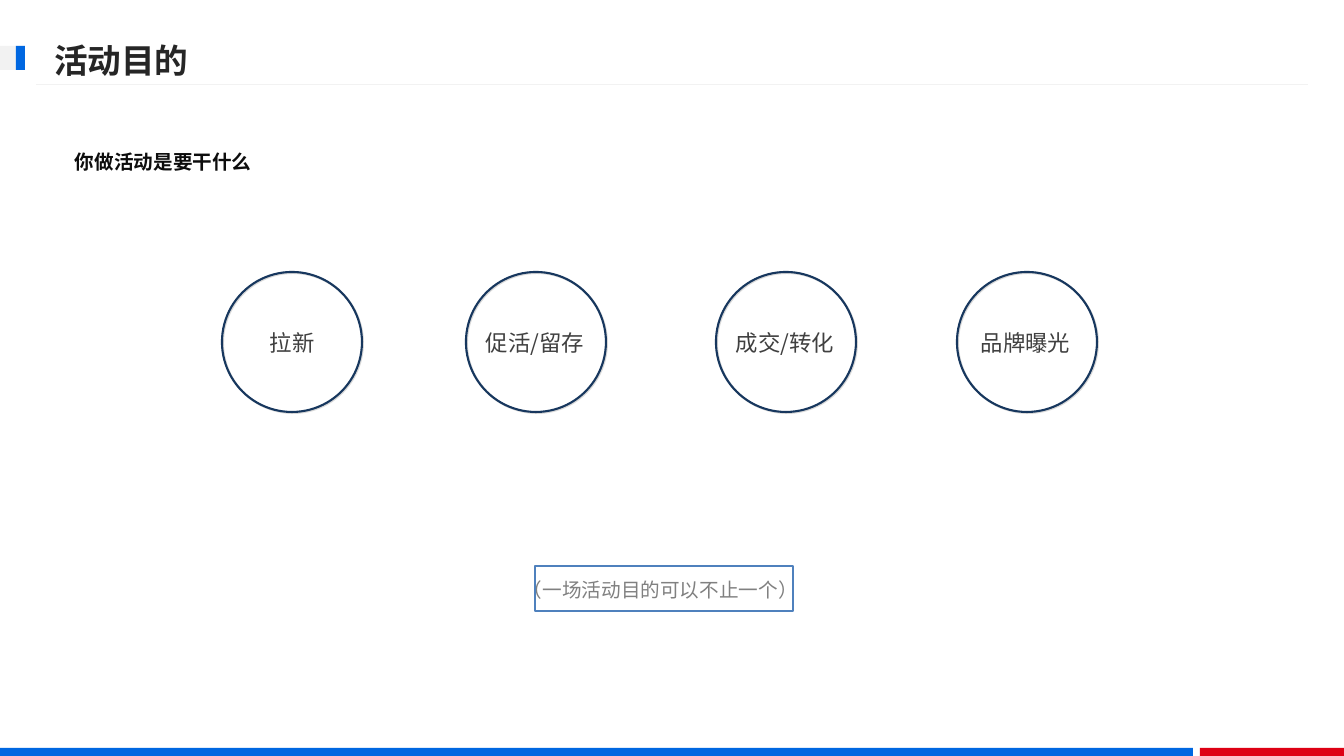
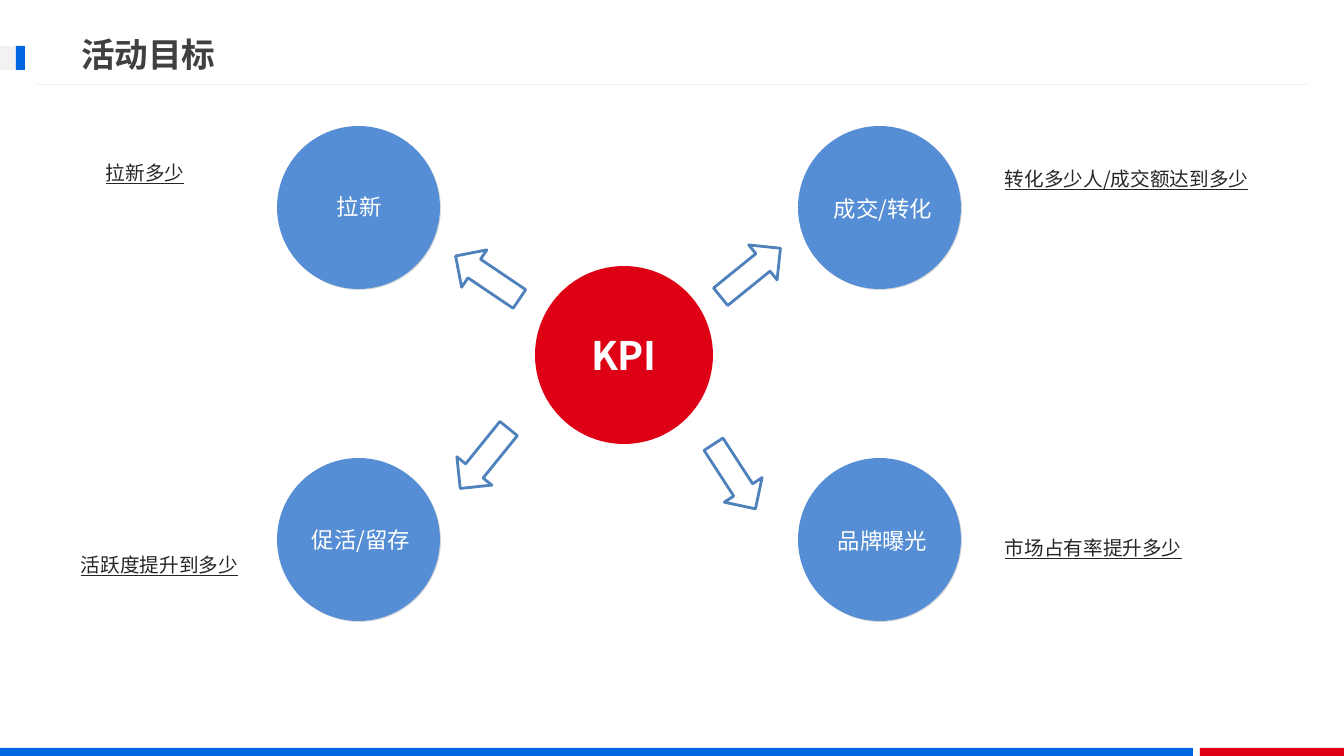
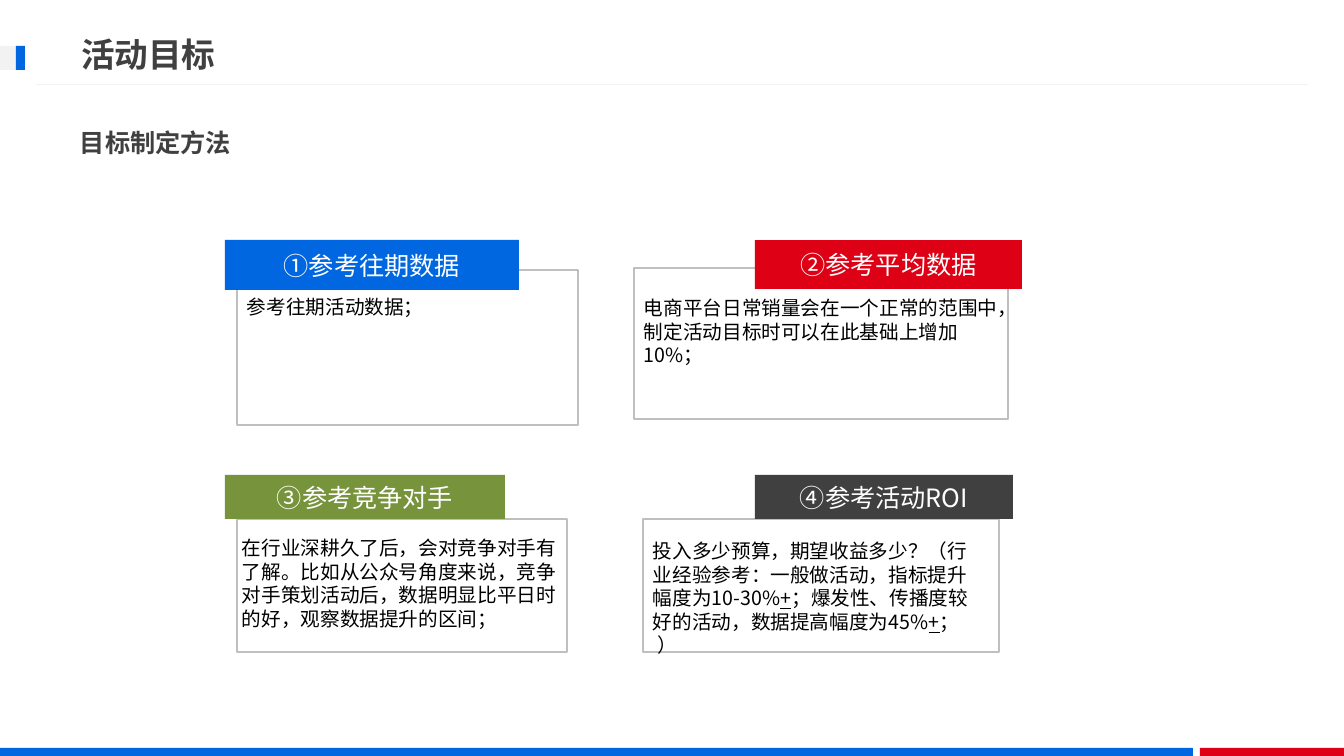
from lxml.etree import SubElement
from pptx import Presentation
from pptx.dml.color import RGBColor
from pptx.enum.lang import MSO_LANGUAGE_ID
from pptx.enum.shapes import MSO_CONNECTOR, MSO_SHAPE
from pptx.enum.text import MSO_ANCHOR, MSO_AUTO_SIZE, PP_ALIGN
from pptx.oxml.ns import qn
from pptx.util import Pt

# Shared look
FONT = "Noto Sans CJK JP"
BLUE, RED, PALE, WHITE = "0067E1", "DE0014", "F2F2F2", "FFFFFF"
SKY, STEEL, NAVY, GRAY = "558ED5", "4F81BD", "17375E", "BFBFBF"
INK, DARK = "262626", "404040"
BARS = [  # box, fill
    ((1200, 748, 144, 8), RED),
    ((0, 748, 1193, 8), BLUE),
    ((0, 46, 25, 24), PALE),
    ((16, 46, 9, 24), BLUE),
]
RULE = (1308, 85, 36, 85)

# Slide 1: aims
AIMS = [  # label, circle left, label left
    ("拉新", 222, 260),
    ("促活/留存", 466, 476),
    ("成交/转化", 716, 726),
    ("品牌曝光", 957, 971),
]
ASK = "你做活动是要干什么"
NOTE = "（一场活动目的可以不止一个）"

# Slide 2: targets around the KPI
HUB = (535, 266, 178, 178)
COLS, ROWS, DISC = (277, 798), (126, 458), 163
GOALS = [  # column, row, label, label box, measure, measure box
    (0, 0, "拉新", (327, 188, 73, 37), "拉新多少", (96, 156, 249, 34)),
    (0, 1, "促活/留存", (302, 521, 122, 37),
     "活跃度提升到多少", (71, 548, 249, 34)),
    (1, 0, "成交/转化", (824, 190, 131, 37),
     "转化多少人/成交额达到多少", (995, 162, 287, 34)),
    (1, 1, "品牌曝光", (828, 522, 127, 37),
     "市场占有率提升多少", (995, 531, 249, 57)),
]
ARROWS = [  # left, top, turn
    (449, 255, 34), (712, 250, 141), (446, 436, 309), (696, 454, 237),
]

# Slide 3: methods; in a tuple every second part is underlined
METHODS = [  # tab text, tab fill, tab box, frame box, body, body box
    ("①参考往期数据", BLUE, (225, 240, 294, 50), (237, 270, 341, 155),
     "参考往期活动数据；", (237, 290, 341, 34)),
    ("②参考平均数据", RED, (755, 240, 267, 49), (634, 268, 374, 151),
     "电商平台日常销量会在一个正常的范围中，制定活动目标时可以在此基础上增加10%；",
     (634, 291, 383, 82)),
    ("③参考竞争对手", "77933C", (225, 475, 280, 44), (237, 519, 330, 133),
     "在行业深耕久了后，会对竞争对手有了解。比如从公众号角度来说，"
     "竞争对手策划活动后，数据明显比平日时的好，观察数据提升的区间；",
     (232, 531, 341, 105)),
    ("④参考活动ROI", DARK, (755, 475, 258, 44), (643, 519, 356, 133),
     ("投入多少预算，期望收益多少？（行业经验参考：一般做活动，指标提升幅度为10-30%",
      "+", "；爆发性、传播度较好的活动，数据提高幅度为45%", "+", "； ）"),
     (643, 534, 348, 129)),
]


def px(n):
    return round(n * 914400 / 100.8)


def rgb(code):
    return RGBColor.from_string(code)


def write(frame, text, size, color, bold=False, under=False, gap=None):
    """Put text in a frame and format its runs."""
    frame.word_wrap = True
    frame.auto_size = MSO_AUTO_SIZE.NONE
    par = frame.paragraphs[0]
    if isinstance(text, str):
        par.text = text
    else:
        for part in text:
            par.add_run().text = part
    if gap:
        par.line_spacing = gap
    for i, run in enumerate(par.runs):
        font = run.font
        font.name, font.size, font.bold = FONT, Pt(size), bold
        font.color.rgb = rgb(color)
        font.underline = under or i % 2 == 1
        font.language_id = MSO_LANGUAGE_ID.SIMPLIFIED_CHINESE
        east = SubElement(font._element, qn("a:ea"))
        east.set("typeface", FONT)
    return par


def label(slide, box, text, size, color, **style):
    item = slide.shapes.add_textbox(*map(px, box))
    write(item.text_frame, text, size, color, **style)


def shape(slide, kind, box, fill=None, line=None, width=1.0):
    item = slide.shapes.add_shape(kind, *map(px, box))
    item.shadow.inherit = False
    if fill:
        item.fill.solid()
        item.fill.fore_color.rgb = rgb(fill)
    else:
        item.fill.background()
    if line:
        item.line.color.rgb = rgb(line)
        item.line.width = Pt(width)
    else:
        item.line.fill.background()
    return item


def center(item, text, size, **style):
    par = write(item.text_frame, text, size, WHITE, **style)
    par.alignment = PP_ALIGN.CENTER
    item.text_frame.vertical_anchor = MSO_ANCHOR.MIDDLE


def shade(item):
    """Give a shape a thin grey shadow at the lower right."""
    list_ = item.element.spPr.find(qn("a:effectLst"))
    cast = SubElement(list_, qn("a:outerShdw"), dist="12700", dir="2700000",
                      algn="tl", rotWithShape="0")
    tone = SubElement(cast, qn("a:srgbClr"), val="808080")
    SubElement(tone, qn("a:alpha"), val="30000")


def brand(slide):
    """Draw the bands, tag and rule, then move them to the layout."""
    layout = slide.slide_layout
    for spot in list(layout.placeholders):
        if spot.placeholder_format.idx:
            spot.element.getparent().remove(spot.element)
    parts = [shape(slide, MSO_SHAPE.RECTANGLE, *bar) for bar in BARS]
    rule = slide.shapes.add_connector(MSO_CONNECTOR.STRAIGHT, *map(px, RULE))
    rule.line.color.rgb = rgb(PALE)
    rule.line.width = Pt(0.75)
    SubElement(rule.element.spPr, qn("a:effectLst"))
    for i, part in enumerate(parts + [rule]):
        layout.shapes.element.insert(2 + i, part.element)


def head(slide, text, left=71, top=26, color=DARK):
    title = slide.shapes.title
    title.left, title.top, title.width, title.height = map(
        px, (left, top, 967, 57))
    par = write(title.text_frame, text, 24, color, bold=True)
    par.alignment = PP_ALIGN.LEFT
    title.text_frame.vertical_anchor = MSO_ANCHOR.MIDDLE


def aims(slide):
    head(slide, "活动目的", 44, 32, INK)
    for text, left, inner in AIMS:
        shade(shape(slide, MSO_SHAPE.OVAL, (left, 272, 140, 140),
                    line=NAVY, width=1.5))
        label(slide, (inner, 324, 136, 37), text, 16, DARK)
    label(slide, (513, 561, 308, 45), NOTE, 14, "808080", gap=1.5)
    shape(slide, MSO_SHAPE.RECTANGLE, (535, 566, 258, 45),
          line=STEEL, width=1.5)
    label(slide, (65, 133, 1127, 41), ASK, 14, "0D0D0D", bold=True, gap=1.5)


def goals(slide):
    head(slide, "活动目标")
    center(shape(slide, MSO_SHAPE.OVAL, HUB, RED), "KPI", 28, bold=True)
    for col, row, name, inner, text, box in GOALS:
        shade(shape(slide, MSO_SHAPE.OVAL,
                    (COLS[col], ROWS[row], DISC, DISC), SKY))
        label(slide, inner, name, 16, WHITE)
        label(slide, box, text, 14, INK, under=True)
    for left, top, turn in ARROWS:
        arrow = shape(slide, MSO_SHAPE.LEFT_ARROW, (left, top, 77, 45),
                      WHITE, STEEL, 2)
        arrow.rotation = turn


def methods(slide):
    head(slide, "活动目标")
    label(slide, (70, 107, 275, 50), "目标制定方法", 18, DARK,
          bold=True, gap=1.5)
    for name, fill, tab, frame, text, box in METHODS:
        shape(slide, MSO_SHAPE.RECTANGLE, frame, WHITE, GRAY)
        center(shape(slide, MSO_SHAPE.RECTANGLE, tab, fill), name, 18)
        label(slide, box, text, 14, "000000")


def main():
    deck = Presentation()
    deck.slide_width, deck.slide_height = px(1344), px(756)
    layout = deck.slide_layouts[5]
    for i, build in enumerate((aims, goals, methods)):
        slide = deck.slides.add_slide(layout)
        if i == 0:
            brand(slide)
        build(slide)
    deck.save("out.pptx")


if __name__ == "__main__":
    main()
